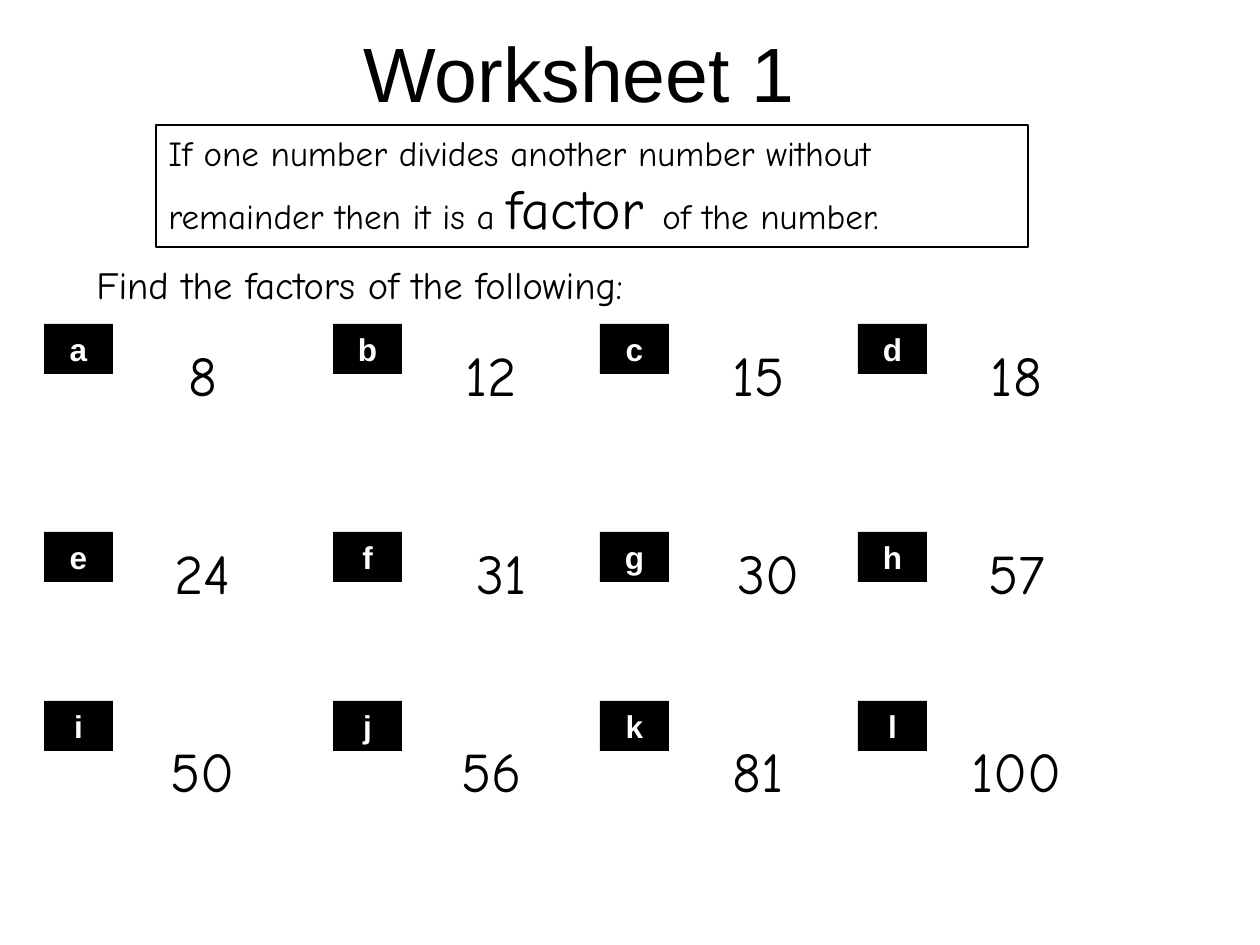
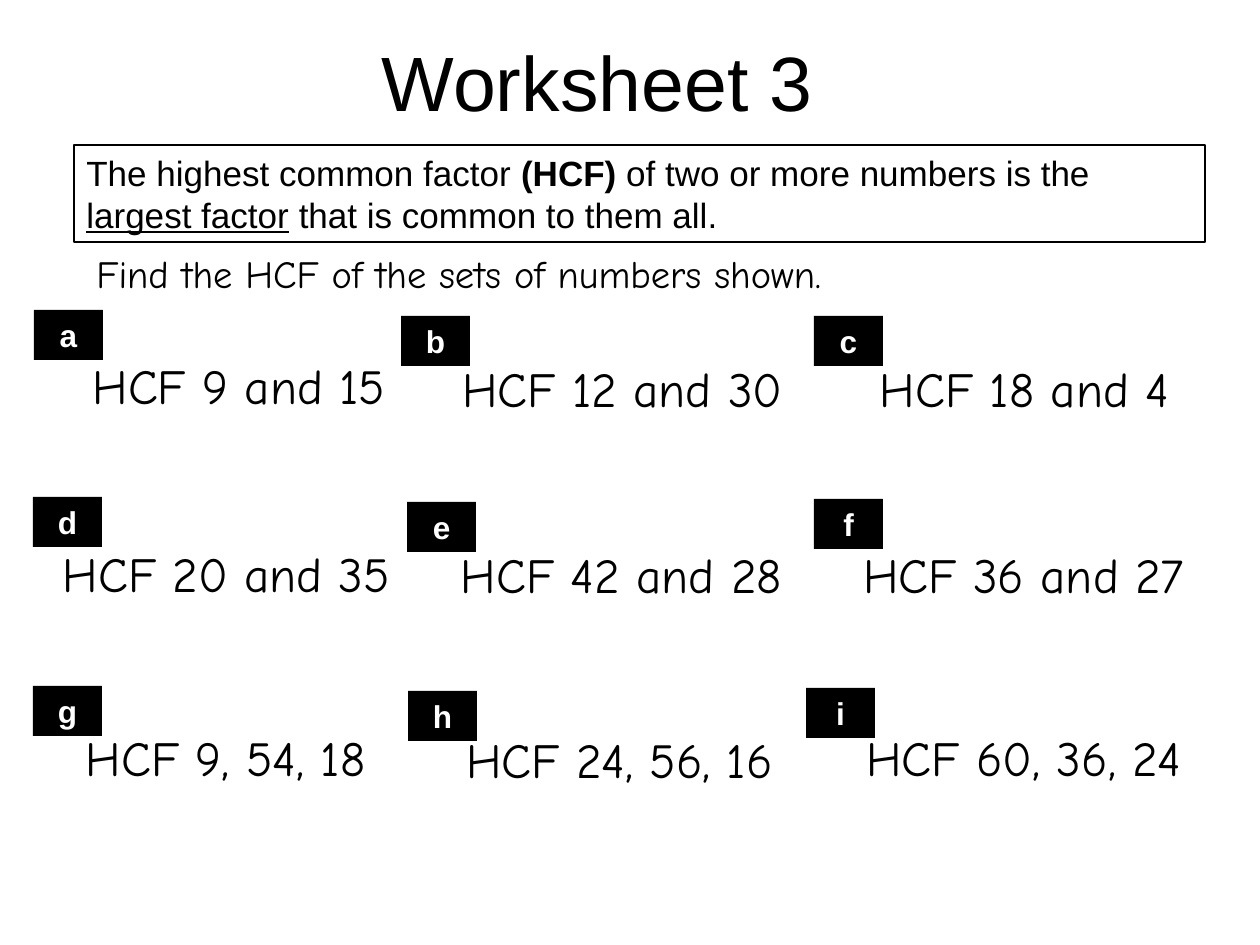
import pptx
import pptx.dml.color
import pptx.enum.shapes
import pptx.enum.text
import pptx.util

EMU_PER_PX = 914400 / 126
SLIDE_SIZE = (1260, 945)
BLACK, WHITE = "000000", "FFFFFF"
SANS, HAND = "Arial", "Comic Neue"
LABEL_SIZE = (69, 50)
PROMPT_LEFT, PROMPT_HEIGHT = 84, 59
TITLE_HEIGHT = 203

# Factors grid: one label and one number per cell
FACTOR_ROWS = [["8", "12", "15", "18"], ["24", "31", "30", "57"], ["50", "56", "81", "100"]]
FACTOR_LABEL_LEFTS = [44, 333, 600, 858]
FACTOR_LABEL_TOPS = [324, 532, 701]
NUMBER_SIZE = (139, 81)
NUMBER_OFFSET = 89
NUMBER_FIRST_TOP, NUMBER_PITCH = 334, 198
NUMBER_NUDGES = {"31": 10, "30": 10}

# HCF questions: text, (left, top, width), label (left, top)
HCF_QUESTIONS = [
    ("HCF 9 and 15", (66, 349, 346), (34, 310)),
    ("HCF 12 and 30", (436, 352, 373), (401, 316)),
    ("HCF 18 and 4", (838, 352, 373), (814, 316)),
    ("HCF 20 and 35", (44, 537, 365), (33, 497)),
    ("HCF 42 and 28", (435, 538, 373), (407, 502)),
    ("HCF 36 and 27", (837, 538, 373), (814, 499)),
    ("HCF 9, 54, 18", (43, 721, 365), (33, 686)),
    ("HCF 24, 56, 16", (437, 723, 365), (408, 691)),
    ("HCF 60, 36, 24", (833, 721, 382), (806, 688)),
]
HCF_HEIGHT = 72

WORKSHEETS = [
    {
        "title": "Worksheet 1",
        "title_place": (271, -30, 616),
        "definition": [
            ("If one number divides another number without remainder then it is a ", {}),
            ("factor ", {"size": 32}),
            ("of the number.", {}),
        ],
        "definition_box": (156, 125, 872, 122),
        "definition_font": HAND,
        "prompt": "Find the factors of the following:",
        "prompt_top": 255,
        "prompt_width": 959,
    },
    {
        "title": "Worksheet 3",
        "title_place": (62, -21, 1071),
        "definition": [
            ("The highest common factor ", {}),
            ("(HCF)", {"bold": True}),
            (" of two or more numbers is the ", {}),
            ("largest factor", {"underline": True}),
            (" that is common to them all.", {}),
        ],
        "definition_box": (74, 145, 1131, 97),
        "definition_font": SANS,
        "prompt": "Find the HCF of the sets of numbers shown.",
        "prompt_top": 244,
        "prompt_width": 896,
    },
]


def px(length):
    return pptx.util.Emu(round(length * EMU_PER_PX))


def rgb(value):
    return pptx.dml.color.RGBColor.from_string(value)


def add_text(slide, text, box, size, font=HAND, color=BLACK, fill=None, line=None,
             bold=False, centered=False, middle=False):
    """Add a text box, or a rectangle if it has a fill; text is a string or (text, format) runs."""
    place = [px(length) for length in box]
    if fill:
        shape = slide.shapes.add_shape(pptx.enum.shapes.MSO_SHAPE.RECTANGLE, *place)
        shape.shadow.inherit = False
        shape.fill.solid()
        shape.fill.fore_color.rgb = rgb(fill)
        if line:
            shape.line.color.rgb = rgb(line)
            shape.line.width = pptx.util.Pt(0.75)
        else:
            shape.line.fill.background()
    else:
        shape = slide.shapes.add_textbox(*place)
    frame = shape.text_frame
    frame.word_wrap = True
    anchors = pptx.enum.text.MSO_ANCHOR
    frame.vertical_anchor = anchors.MIDDLE if middle else anchors.TOP
    paragraph = frame.paragraphs[0]
    alignments = pptx.enum.text.PP_ALIGN
    paragraph.alignment = alignments.CENTER if centered else alignments.LEFT
    for words, changes in [(text, {})] if isinstance(text, str) else text:
        run = paragraph.add_run()
        run.text = words
        run.font.name = font
        run.font.size = pptx.util.Pt(changes.get("size", size))
        run.font.bold = changes.get("bold", bold)
        run.font.underline = changes.get("underline", False)
        run.font.color.rgb = rgb(color)


def factor_questions():
    questions = []
    for row, numbers in enumerate(FACTOR_ROWS):
        for label_left, number in zip(FACTOR_LABEL_LEFTS, numbers):
            left = label_left + NUMBER_OFFSET + NUMBER_NUDGES.get(number, 0)
            top = NUMBER_FIRST_TOP + row * NUMBER_PITCH
            questions.append((number, (left, top, *NUMBER_SIZE),
                              (label_left, FACTOR_LABEL_TOPS[row])))
    return questions


def hcf_questions():
    return [(text, (*place, HCF_HEIGHT), label) for text, place, label in HCF_QUESTIONS]


def add_worksheet(presentation, sheet, questions, question_size):
    slide = presentation.slides.add_slide(presentation.slide_layouts[6])
    add_text(slide, sheet["prompt"],
             (PROMPT_LEFT, sheet["prompt_top"], sheet["prompt_width"], PROMPT_HEIGHT),
             22, fill=WHITE)
    for text, box, _ in questions:
        add_text(slide, text, box, question_size, fill=WHITE, centered=True)
    for letter, (_, _, label_place) in zip("abcdefghijkl", questions):
        add_text(slide, letter, (*label_place, *LABEL_SIZE), 18, font=SANS,
                 color=WHITE, fill=BLACK, bold=True, centered=True)
    add_text(slide, sheet["definition"], sheet["definition_box"], 20,
             font=sheet["definition_font"], fill=WHITE, line=BLACK)
    add_text(slide, sheet["title"], (*sheet["title_place"], TITLE_HEIGHT), 44,
             font=SANS, centered=True, middle=True)


def main():
    presentation = pptx.Presentation()
    presentation.slide_width, presentation.slide_height = map(px, SLIDE_SIZE)
    factors_sheet, hcf_sheet = WORKSHEETS
    add_worksheet(presentation, factors_sheet, factor_questions(), 32)
    add_worksheet(presentation, hcf_sheet, hcf_questions(), 28)
    presentation.save("out.pptx")


if __name__ == "__main__":
    main()
